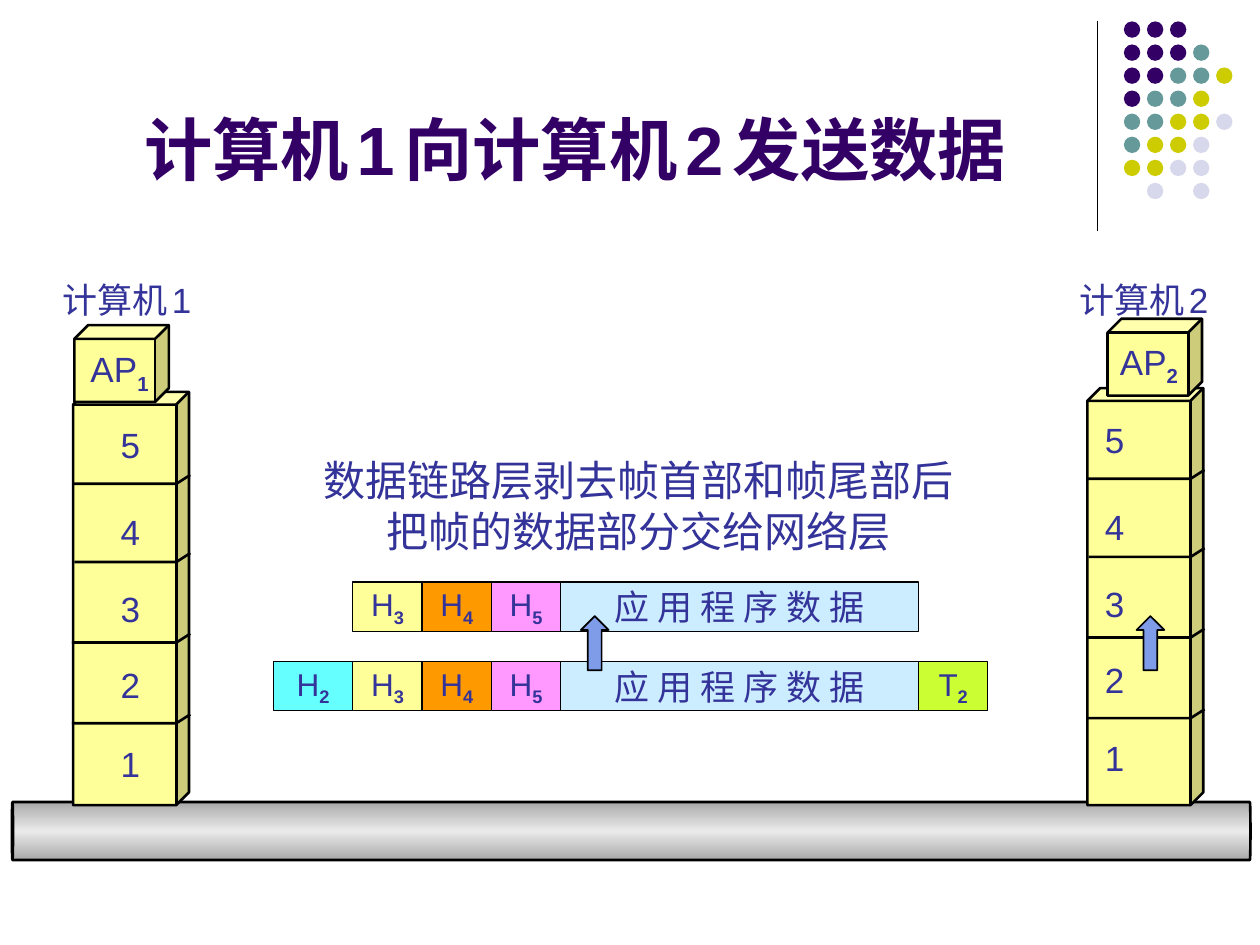
"""Build a slide showing computer 2 unwrapping a data link frame sent by computer 1."""
from copy import deepcopy

from pptx import Presentation
from pptx.dml.color import RGBColor
from pptx.enum import shapes, text
from pptx.oxml.xmlchemy import OxmlElement
from pptx.util import Inches, Pt

BLACK = RGBColor(0x00, 0x00, 0x00)
NAVY = RGBColor(0x33, 0x33, 0x99)
PURPLE = RGBColor(0x33, 0x00, 0x66)
YELLOW = RGBColor(0xFF, 0xFF, 0x99)
ORANGE = RGBColor(0xFF, 0x99, 0x00)
PINK = RGBColor(0xFF, 0x99, 0xFF)
SKY = RGBColor(0xCC, 0xEC, 0xFF)
CYAN = RGBColor(0x66, 0xFF, 0xFF)
LIME = RGBColor(0xCC, 0xFF, 0x33)
ARROW_BLUE = RGBColor(0x7E, 0x9C, 0xE8)
PIPE_EDGE = RGBColor(0xAA, 0xAA, 0xAA)
PIPE_CENTRE = RGBColor(0xEA, 0xEA, 0xEA)
DOT_COLOURS = {"P": PURPLE, "T": RGBColor(0x66, 0x99, 0x99),
               "Y": RGBColor(0xCC, 0xCC, 0x00), "L": RGBColor(0xD8, 0xD8, 0xEC)}

DOT_ROWS = ["PPP", "PPPT", "PPTTY", "PTTY", "TTYYL", "TYYL", "YYLL", " L L"]
TITLE = [("计算机", 39), (" ", 20), ("1", 39), (" ", 20), ("向计算机", 39),
         (" ", 20), ("2", 39), (" ", 20), ("发送数据 ", 39)]
MESSAGE = ["数据链路层剥去帧首部和帧尾部后", "把帧的数据部分交给网络层"]
PACKET = [("H", "3", 0.55, YELLOW), ("H", "4", 0.55, ORANGE),
          ("H", "5", 0.55, PINK), ("应 用 程 序 数 据", "", 2.84, SKY)]
FRAME = [("H", "2", 0.63, CYAN), *PACKET, ("T", "2", 0.55, LIME)]
ROWS = [(PACKET, 2.8, 4.62), (FRAME, 2.17, 5.25)]
LAYERS = [("5", 3.31), ("4", 4.0), ("3", 4.61), ("2", 5.22), ("1", 5.84)]
DIVIDERS = [(0.0, 3.84), (0.01, 4.46), (-0.01, 5.1), (-0.01, 5.74)]
COMPUTERS = [
    {"number": "1", "left": 0.58, "top": 3.11, "rise": 0, "layer_left": 0.86,
     "name_left": 0.4, "program": (0.59, 2.58), "program_text": (0.62, 2.71)},
    {"number": "2", "left": 8.63, "top": 3.08, "rise": 0.04, "layer_left": 8.67,
     "name_left": 8.47, "program": (8.79, 2.53), "program_text": (8.79, 2.65)},
]
TOWER_BOTTOM = 6.39
ARROW_LEFTS = [4.61, 9.02]


def add_box(slide, kind, left, top, width, height, fill, line_width=None):
    shape = slide.shapes.add_shape(
        kind, Inches(left), Inches(top), Inches(width), Inches(height))
    shape.shadow.inherit = False
    if fill is not None:
        shape.fill.solid()
        shape.fill.fore_color.rgb = fill
    if line_width:
        shape.line.color.rgb = BLACK
        shape.line.width = Pt(line_width)
    else:
        shape.line.fill.background()
    return shape


def write_runs(paragraph, runs, colour=NAVY, font="Arial", bold=False):
    for words, size in runs:
        run = paragraph.add_run()
        run.text = words
        run.font.name = font
        run.font.size = Pt(size)
        run.font.bold = bold
        run.font.color.rgb = colour


def write_subscript(paragraph, digit, size):
    write_runs(paragraph, [(digit, size)], bold=True)
    paragraph.runs[-1].font._element.set("baseline", "-25000")


def add_label(slide, left, top, width, height, runs):
    box = slide.shapes.add_textbox(
        Inches(left), Inches(top), Inches(width), Inches(height))
    box.text_frame.word_wrap = False
    paragraph = box.text_frame.paragraphs[0]
    write_runs(paragraph, runs)
    return paragraph


def add_title(slide):
    title = slide.shapes.title
    title.left, title.top = Inches(0.5), Inches(0.13)
    title.width, title.height = Inches(8.25), Inches(1.42)
    frame = title.text_frame
    frame.auto_size = text.MSO_AUTO_SIZE.NONE
    frame.vertical_anchor = text.MSO_ANCHOR.BOTTOM
    frame.paragraphs[0].alignment = text.PP_ALIGN.CENTER
    write_runs(frame.paragraphs[0], TITLE, PURPLE, bold=True)


def add_decoration(slide):
    rule = slide.shapes.add_connector(
        shapes.MSO_CONNECTOR.STRAIGHT,
        Inches(8.71), Inches(0.17), Inches(8.71), Inches(1.83))
    rule.line.color.rgb = BLACK
    rule.line.width = Pt(0.75)
    rule._element.spPr.append(OxmlElement("a:effectLst"))
    pitch = 0.183
    for row, codes in enumerate(DOT_ROWS):
        for column, code in enumerate(codes):
            if code in DOT_COLOURS:
                add_box(slide, shapes.MSO_SHAPE.OVAL, 8.92 + column * pitch,
                        0.17 + row * pitch, 0.13, 0.13, DOT_COLOURS[code])


def add_pipe(slide):
    pipe = add_box(slide, shapes.MSO_SHAPE.CAN, 4.78, 1.68, 0.46, 9.83, None, 1.5)
    pipe.rotation = 270
    pipe.adjustments[0] = 0.02
    pipe.fill.gradient()
    pipe.fill.gradient_angle = 0
    stops = pipe.fill.gradient_stops
    stops[0].color.rgb = PIPE_EDGE
    stops[1].color.rgb = PIPE_CENTRE
    stops[1].position = 0.5
    first = stops[0]._gs
    last = deepcopy(first)
    last.set("pos", "100000")
    first.getparent().append(last)


def add_cells(slide, cells, left, top):
    for words, digit, width, colour in cells:
        cell = add_box(slide, shapes.MSO_SHAPE.RECTANGLE,
                       left, top, width, 0.39, colour, 0.75)
        frame = cell.text_frame
        frame.word_wrap = False
        frame.vertical_anchor = text.MSO_ANCHOR.MIDDLE
        paragraph = frame.paragraphs[0]
        paragraph.alignment = text.PP_ALIGN.CENTER
        if digit:
            write_runs(paragraph, [(words, 18)])
            write_subscript(paragraph, digit, 18)
        else:
            write_runs(paragraph, [(words, 20)], font="Cabin")
        left += width


def add_divider(slide, start, *points):
    builder = slide.shapes.build_freeform(Inches(start[0]), Inches(start[1]))
    builder.add_line_segments(
        [(Inches(x), Inches(y)) for x, y in points], close=False)
    divider = builder.convert_to_shape()
    divider.shadow.inherit = False
    divider.fill.background()
    divider.line.color.rgb = BLACK
    divider.line.width = Pt(1.5)


def add_computer(slide, computer):
    left, top, rise = computer["left"], computer["top"], computer["rise"]
    tower = add_box(slide, shapes.MSO_SHAPE.CUBE, left, top, 0.92,
                    TOWER_BOTTOM - top, YELLOW, 1.5)
    tower.adjustments[0] = 0.11
    for words, label_top in LAYERS:
        add_label(slide, computer["layer_left"], label_top - rise, 0.35, 0.44,
                  [(words, 20)])
    for shift, height in DIVIDERS:
        y = height - rise
        add_divider(slide, (left + shift, y), (left + 0.82, y),
                    (left + 0.93, y - 0.07))
    add_label(slide, computer["name_left"], 2.16, 1.29, 0.44,
              [("计算机", 20), (" ", 10), (computer["number"], 20)])
    program = add_box(slide, shapes.MSO_SHAPE.CUBE, *computer["program"],
                      0.75, 0.61, YELLOW, 1.5)
    program.adjustments[0] = 0.18
    paragraph = add_label(slide, *computer["program_text"], 0.66, 0.48, [("AP", 20)])
    write_subscript(paragraph, computer["number"], 20)


def add_message(slide):
    first = add_label(slide, 2.47, 3.56, 5.2, 0.9, [(MESSAGE[0], 24)])
    second = slide.shapes[-1].text_frame.add_paragraph()
    write_runs(second, [(MESSAGE[1], 24)])
    for paragraph in (first, second):
        paragraph.alignment = text.PP_ALIGN.CENTER


def main():
    presentation = Presentation()
    presentation.slide_width, presentation.slide_height = Inches(10), Inches(7.5)
    slide = presentation.slides.add_slide(presentation.slide_layouts[5])
    add_decoration(slide)
    add_title(slide)
    add_pipe(slide)
    for computer in COMPUTERS:
        add_computer(slide, computer)
    add_message(slide)
    for cells, left, top in ROWS:
        add_cells(slide, cells, left, top)
    for left in ARROW_LEFTS:
        add_box(slide, shapes.MSO_SHAPE.UP_ARROW, left, 4.89, 0.22, 0.43, ARROW_BLUE, 1)
    presentation.save("out.pptx")


if __name__ == "__main__":
    main()
